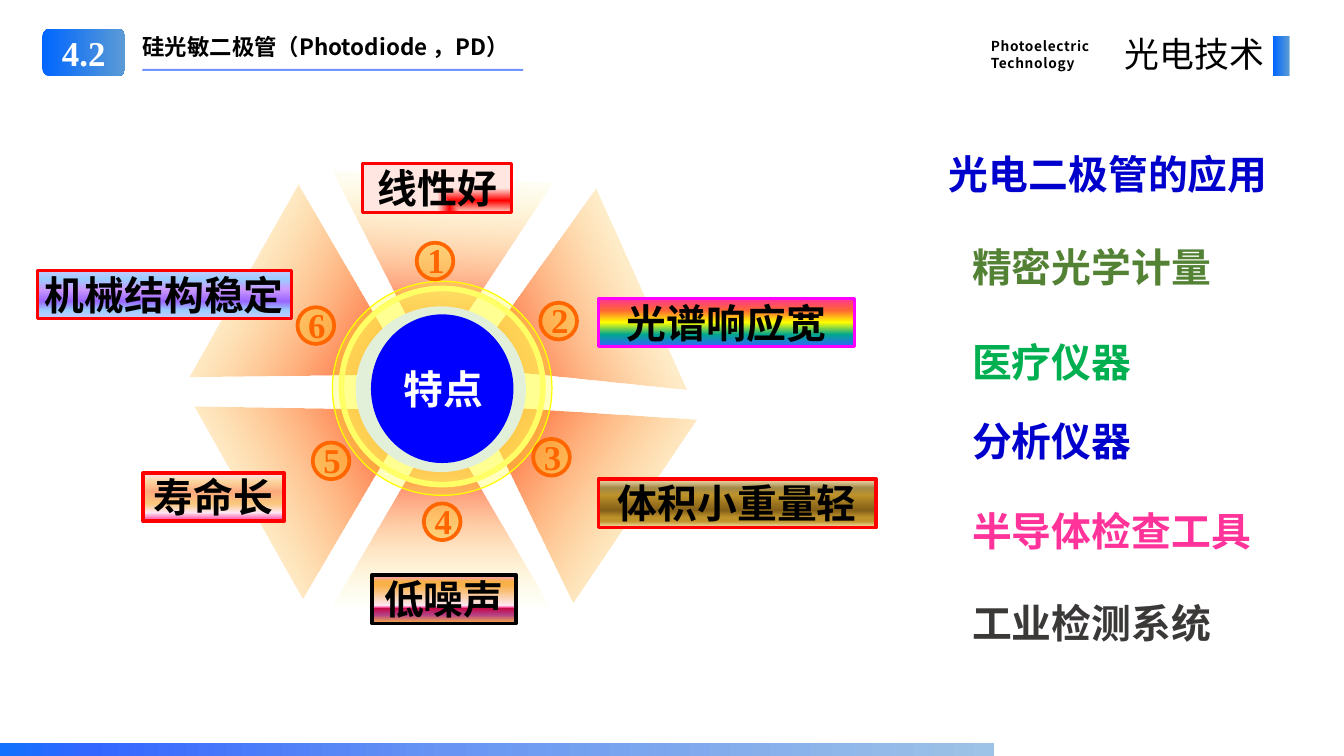
from dataclasses import dataclass
from typing import Optional

from lxml import etree
from pptx import Presentation
from pptx import util as u
from pptx.dml.color import RGBColor
from pptx.enum import shapes, text
from pptx.oxml.ns import qn

SANS, SERIF = "Noto Sans CJK SC", "Times New Roman"
COLUMNS, ROWS = 150, 84.4  # fine grid laid over the slide

presentation = Presentation()
presentation.slide_width = u.Inches(15)
presentation.slide_height = u.Inches(8.44)
slide = presentation.slides.add_slide(presentation.slide_layouts[1])


@dataclass
class Box:
    column: float
    row: float
    width: float
    height: float

    def emu(self) -> tuple:
        across = presentation.slide_width / COLUMNS
        down = presentation.slide_height / ROWS
        return (round(self.column * across), round(self.row * down),
                round(self.width * across), round(self.height * down))


@dataclass
class Gradient:
    stops: list  # (position, hex) or (position, hex, opacity)
    angle: Optional[int] = 0  # None spreads from the lower right corner


@dataclass
class Style:
    size: float
    color: str
    font: str = SANS
    bold: bool = True
    align: Optional[text.PP_ALIGN] = None
    spacing: float = 0  # points between letters


@dataclass
class Label:
    words: str
    box: Box
    gradient: Gradient
    line: str = "FF0000"
    weight: float = 2.25


def rgb(value: str) -> RGBColor:
    return RGBColor.from_string(value)


def set_alpha(parent, percent: float) -> None:
    color = next(parent.iter(qn("a:srgbClr")))
    etree.SubElement(color, qn("a:alpha"), val=str(percent * 1000))


def set_gradient(shape, gradient: Gradient) -> None:
    shape.fill.gradient()
    fill = shape._element.spPr.find(qn("a:gradFill"))
    for child in list(fill):
        fill.remove(child)
    fill.set("rotWithShape", "1")
    stop_list = etree.SubElement(fill, qn("a:gsLst"))
    for position, color, *opacity in gradient.stops:
        stop = etree.SubElement(stop_list, qn("a:gs"), pos=str(position * 1000))
        etree.SubElement(stop, qn("a:srgbClr"), val=color)
        if opacity:
            set_alpha(stop, opacity[0])
    if gradient.angle is None:
        path = etree.SubElement(fill, qn("a:path"), path="rect")
        etree.SubElement(path, qn("a:fillToRect"), l="100000", t="100000")
    else:
        etree.SubElement(fill, qn("a:lin"), ang=str(gradient.angle * 60000), scaled="0")


def add_shape(kind, box: Box, fill, line: Optional[str] = None, weight: float = 1,
              alpha: Optional[int] = None, rotation: float = 0):
    shape = slide.shapes.add_shape(kind, *box.emu())
    shape.shadow.inherit = False
    shape.rotation = rotation
    if isinstance(fill, Gradient):
        set_gradient(shape, fill)
    else:
        shape.fill.solid()
        shape.fill.fore_color.rgb = rgb(fill)
        if alpha is not None:
            set_alpha(shape._element.spPr, alpha)
    if line:
        shape.line.color.rgb = rgb(line)
        shape.line.width = u.Pt(weight)
    else:
        shape.line.fill.background()
    return shape


def format_paragraph(paragraph, style: Style) -> None:
    paragraph.alignment = style.align
    for run in paragraph.runs:
        run.font.size, run.font.bold = u.Pt(style.size), style.bold
        run.font.name, run.font.color.rgb = style.font, rgb(style.color)
        properties = run._r.get_or_add_rPr()
        etree.SubElement(properties, qn("a:ea"), typeface=style.font)
        if style.spacing:
            properties.set("spc", str(round(style.spacing * 100)))


def write(shape, words: str, style: Style, insets: tuple = (0, 0),
          anchor=text.MSO_ANCHOR.TOP, grow: bool = True, wrap: bool = True) -> None:
    frame = shape.text_frame
    frame.text = words
    frame.word_wrap = wrap
    frame.vertical_anchor = anchor
    frame.auto_size = text.MSO_AUTO_SIZE.SHAPE_TO_FIT_TEXT if grow else text.MSO_AUTO_SIZE.NONE
    frame.margin_left = frame.margin_right = u.Inches(insets[0])
    frame.margin_top = frame.margin_bottom = u.Inches(insets[1])
    for paragraph in frame.paragraphs:
        format_paragraph(paragraph, style)


def add_text(words: str, box: Box, style: Style, **options):
    shape = slide.shapes.add_textbox(*box.emu())
    write(shape, words, style, **options)
    return shape


def place(placeholder, box: Box) -> None:
    placeholder.left, placeholder.top, placeholder.width, placeholder.height = box.emu()


KIND = shapes.MSO_SHAPE
CENTER = text.PP_ALIGN.CENTER
PADDING = (0.1, 0.05)
BLUES = Gradient([(0, "0066FF"), (100, "5B9BD5")])

# Six rays around the hub
RAY = Gradient([(0, "FF0000"), (100, "FFFF66", 0)], 90)
for column, row, rotation in [(49.6, 26.1, 245.7), (36.5, 19.7, 183.2), (24.6, 40.4, 60.6),
                              (24.1, 26, 119.5), (49.8, 40.6, 303.9), (36.9, 47, 0)]:
    add_shape(KIND.ISOSCELES_TRIANGLE, Box(column, row, 24.6, 21.1), RAY, rotation=rotation)

# Hub
add_shape(KIND.OVAL, Box(37.1, 31.4, 24.5, 23.9), "FFFF00", "FFFF00", 1, alpha=25)
add_shape(KIND.OVAL, Box(38.1, 32.2, 22.5, 21.9), "FFFF66", "FFFF66", 4.5, alpha=50)
add_shape(KIND.OVAL, Box(39.7, 34.2, 19, 18.5), "E2F0D9")
add_shape(KIND.OVAL, Box(41.4, 35.1, 15.9, 16.6), "0000FF")
add_text("特点", Box(41.2, 40.7, 16.6, 5.3), Style(32, "FFFFFF", align=CENTER))

# Feature labels
LABELS = [
    Label("线性好", Box(40.5, 18.3, 16.6, 5.4),
          Gradient([(1, "FFCEBF"), (49, "FF0000"), (100, "FFE6E0")], None)),
    Label("光谱响应宽", Box(66.8, 33.3, 28.6, 5.4),
          Gradient([(0, "FF3399"), (25, "FF6633"), (50, "FFFF00"), (75, "01A78F"),
                    (100, "3366FF")], 90), line="FF00FF"),
    Label("体积小重量轻", Box(66.8, 53.5, 31, 5.4),
          Gradient([(0, "FBE4AE"), (13, "BD922A"), (21, "BD922A"), (36, "835E17"),
                    (67, "BD922A"), (82, "A28949"), (100, "FAE3B7")], 270), weight=3),
    Label("机械结构稳定", Box(4.2, 30.2, 28.3, 5.4),
          Gradient([(0, "CCCCFF"), (18, "99CCFF"), (36, "9966FF"), (61, "CC99FF"),
                    (82, "99CCFF"), (100, "CCCCFF")], 270)),
    Label("寿命长", Box(16, 52.8, 15.7, 5.4),
          Gradient([(0, "FF3399"), (18, "FEE7F2"), (36, "FAC77D"), (61, "FBA97D"),
                    (82, "FBD49C"), (100, "FEE7F2")], 270), weight=3),
    Label("低噪声", Box(41.5, 64.2, 16.1, 5.4),
          Gradient([(0, "FC9FCB"), (13, "F8B049"), (21, "F8B049"), (63, "FEE7F2"),
                    (67, "F952A0"), (69, "C50849"), (82, "B43E85"), (100, "F8B049")], 90),
          line="000000", weight=3),
]
for label in LABELS:
    shape = add_shape(KIND.RECTANGLE, label.box, label.gradient, label.line, label.weight)
    write(shape, label.words, Style(32, "000000", align=CENTER))

# Numbered discs
DISCS = [(46.5, 27.1), (60.3, 33.8), (59.5, 49), (47.3, 56.2), (34.9, 49.4), (33.2, 34.3)]
for number, (column, row) in enumerate(DISCS, 1):
    add_shape(KIND.OVAL, Box(column, row, 4.1, 4.1), "FFC000", "FF6600", 3, alpha=33)
    add_text(str(number), Box(column + 1.2, row - 0.4, 2.4, 4.7), Style(28, "FF6600", SERIF))

# Applications: heading and list
add_text("光电二极管的应用", Box(103.1, 14.1, 41.2, 8.1),
         Style(32, "0000CC", align=CENTER)).text_frame.paragraphs[0].line_spacing = 1.5
APPLICATIONS = [("精密光学计量", "548235", 0), ("医疗仪器", "00B050", 28),
                ("分析仪器", "0000CC", 16), ("半导体检查工具", "FF3399", 24),
                ("工业检测系统", "3B3838", 26)]
body = slide.placeholders[1]
place(body, Box(108.5, 25.8, 34, 47))
write(body, "\n".join(words for words, _, _ in APPLICATIONS), Style(32, "000000"), grow=False)
for paragraph, (_, color, gap) in zip(body.text_frame.paragraphs, APPLICATIONS):
    properties = paragraph._p.get_or_add_pPr()
    properties.set("marL", "0")
    properties.set("indent", "0")
    etree.SubElement(properties, qn("a:buNone"))
    paragraph.line_spacing, paragraph.space_before = u.Pt(48), u.Pt(gap)
    paragraph.runs[0].font.color.rgb = rgb(color)

# Header
title = slide.shapes.title
place(title, Box(14.9, 3.2, 46, 4))
write(title, "硅光敏二极管（Photodiode ，PD）",
      Style(18, "000000", align=text.PP_ALIGN.LEFT), insets=PADDING)
subject = add_text("Photoelectric\nTechnology", Box(109.6, 3.6, 15.8, 4.9),
                   Style(11, "000000", spacing=0.5), insets=PADDING)
for paragraph in subject.text_frame.paragraphs:
    paragraph.line_spacing = u.Pt(14)
add_shape(KIND.RECTANGLE, Box(142.1, 4, 1.8, 4.5), BLUES)
badge = add_shape(KIND.ROUNDED_RECTANGLE, Box(4.7, 3.2, 9.3, 5.3), BLUES)
write(badge, "4.2", Style(28, "FFFFFF", SERIF, align=CENTER), insets=PADDING,
      anchor=text.MSO_ANCHOR.MIDDLE, grow=False)
left, top, width, _ = Box(15.9, 7.8, 42.5, 0).emu()
underline = slide.shapes.add_connector(shapes.MSO_CONNECTOR.STRAIGHT, left, top, left + width, top)
underline.line.color.rgb = rgb("3366FF")
underline.line.width = u.Pt(1.5)
set_alpha(underline._element.spPr, 70)
etree.SubElement(underline._element.spPr, qn("a:effectLst"))
add_text("光电技术", Box(123.1, 3.2, 19, 5.7),
         Style(28, "000000", bold=False, align=text.PP_ALIGN.RIGHT, spacing=0.2), insets=PADDING)

# Footer bar
add_shape(KIND.RECTANGLE, Box(0, 83, 110.9, 1.4),
          Gradient([(0, "1271FE"), (9, "3366FF"), (45, "6895F3"), (100, "9DC3E6")]))

presentation.save("out.pptx")
